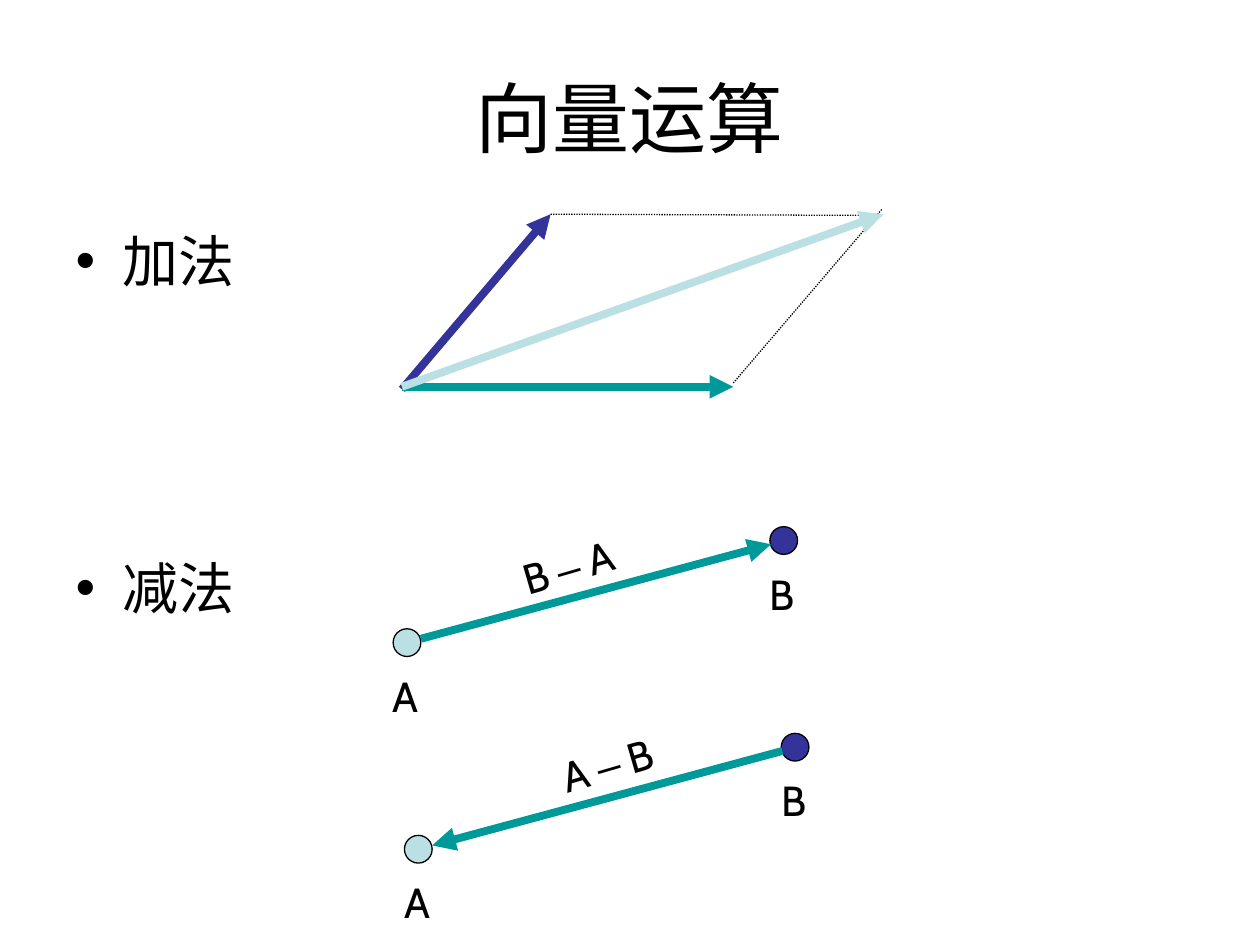
import lxml.etree
import pptx
import pptx.dml.color
import pptx.enum.dml
import pptx.enum.shapes
import pptx.enum.text
import pptx.oxml.ns
import pptx.util

Inches = pptx.util.Inches
Pt = pptx.util.Pt
qn = pptx.oxml.ns.qn
hue = pptx.dml.color.RGBColor.from_string

theme = {
    "ink": hue("000000"), "navy": hue("333399"),
    "teal": hue("009999"), "pale": hue("BBE0E3"),
    "title": Pt(44), "body": Pt(32), "label": Pt(24),
    "bold": Pt(4.5), "thin": Pt(0.75),
    "main": "Arial", "note": "Cabin",
}


def style(para, words, size, face):
    """Add one run with its font."""
    run = para.add_run()
    run.text = words
    form = {"name": face, "size": theme[size]}
    for key, value in form.items():
        setattr(run.font, key, value)
    run.font.color.rgb = theme["ink"]


def draw(shapes, start, end, color, width, arrow=True):
    """Draw a straight line, solid with an arrowhead or dotted."""
    line = shapes.add_connector(
        pptx.enum.shapes.MSO_CONNECTOR.STRAIGHT,
        *(Inches(n) for n in (*start, *end)))
    line.line.color.rgb = theme[color]
    line.line.width = theme[width]
    props = line.element.spPr
    if arrow:
        lxml.etree.SubElement(props.find(qn("a:ln")), qn("a:tailEnd"), type="triangle")
    else:
        line.line.dash_style = pptx.enum.dml.MSO_LINE.ROUND_DOT
    lxml.etree.SubElement(props, qn("a:effectLst"))


deck = pptx.Presentation()
deck.slide_width, deck.slide_height = Inches(10), Inches(7.5)
slide = deck.slides.add_slide(deck.slide_layouts[1])
shapes = slide.shapes

# Title and list
title, body = slide.placeholders
for holder, top, height in ((title, 0.3, 1.25), (body, 1.75, 4.95)):
    place = {"left": Inches(0.5), "top": Inches(top),
             "width": Inches(9), "height": Inches(height)}
    for key, value in place.items():
        setattr(holder, key, value)
    holder.text_frame.auto_size = pptx.enum.text.MSO_AUTO_SIZE.NONE
style(title.text_frame.paragraphs[0], "向量运算", "title", theme["main"])
first = body.text_frame.paragraphs[0]
second = body.text_frame.add_paragraph()
for para, words, gap in ((first, "加法", 0), (second, "减法", 148)):
    para.space_before = Pt(gap)
    style(para, words, "body", theme["main"])

# Addition: two sides, dotted parallels and the sum
base, left, right, far = (3.19, 3.07), (4.37, 1.7), (5.82, 3.07), (7.01, 1.7)
draw(shapes, (3.19, 3.09), left, "navy", "bold")
draw(shapes, base, right, "teal", "bold")
guides = shapes.add_group_shape().shapes
draw(guides, left, (7, 1.71), "ink", "thin", arrow=False)
draw(guides, (5.82, 3.04), (7, 1.66), "ink", "thin", arrow=False)
draw(shapes, base, far, "pale", "bold")

# Subtraction: the same pair of points twice, arrow turned round
dot = 0.22
pairs = (
    (3.12, 4.99, ("B", "A"), (4.04, 4.24)),
    (3.21, 6.63, ("A", "B"), (4.35, 5.81)),
)
for x, y, names, spot in pairs:
    ends = {"A": (x, y, "pale"), "B": (x + 2.99, y - 0.81, "navy")}
    labels = [(spot, 0.99, -16.2,
               ((names[0] + " ", "note"), ("–", "main"), (" " + names[1], "note")))]
    for name, (px, py, color) in ends.items():
        point = shapes.add_shape(
            pptx.enum.shapes.MSO_SHAPE.OVAL,
            Inches(px), Inches(py), Inches(dot), Inches(dot))
        point.shadow.inherit = False
        point.fill.solid()
        point.fill.fore_color.rgb = theme[color]
        point.line.color.rgb = theme["ink"]
        point.line.width = theme["thin"]
        labels.append(((px - 0.1, py + 0.28), 0.41, 0, ((name, "note"),)))

    tips = {"A": (x + dot, y + 0.08), "B": (x + 3, y - 0.67)}
    draw(shapes, tips[names[1]], tips[names[0]], "teal", "bold")

    for (lx, ly), wide, turn, parts in labels:
        box = shapes.add_textbox(Inches(lx), Inches(ly), Inches(wide), Inches(0.5))
        box.rotation = turn
        frame = box.text_frame
        form = {"word_wrap": False,
                "auto_size": pptx.enum.text.MSO_AUTO_SIZE.SHAPE_TO_FIT_TEXT}
        for key, value in form.items():
            setattr(frame, key, value)
        for words, face in parts:
            style(frame.paragraphs[0], words, "label", theme[face])

deck.save("out.pptx")
